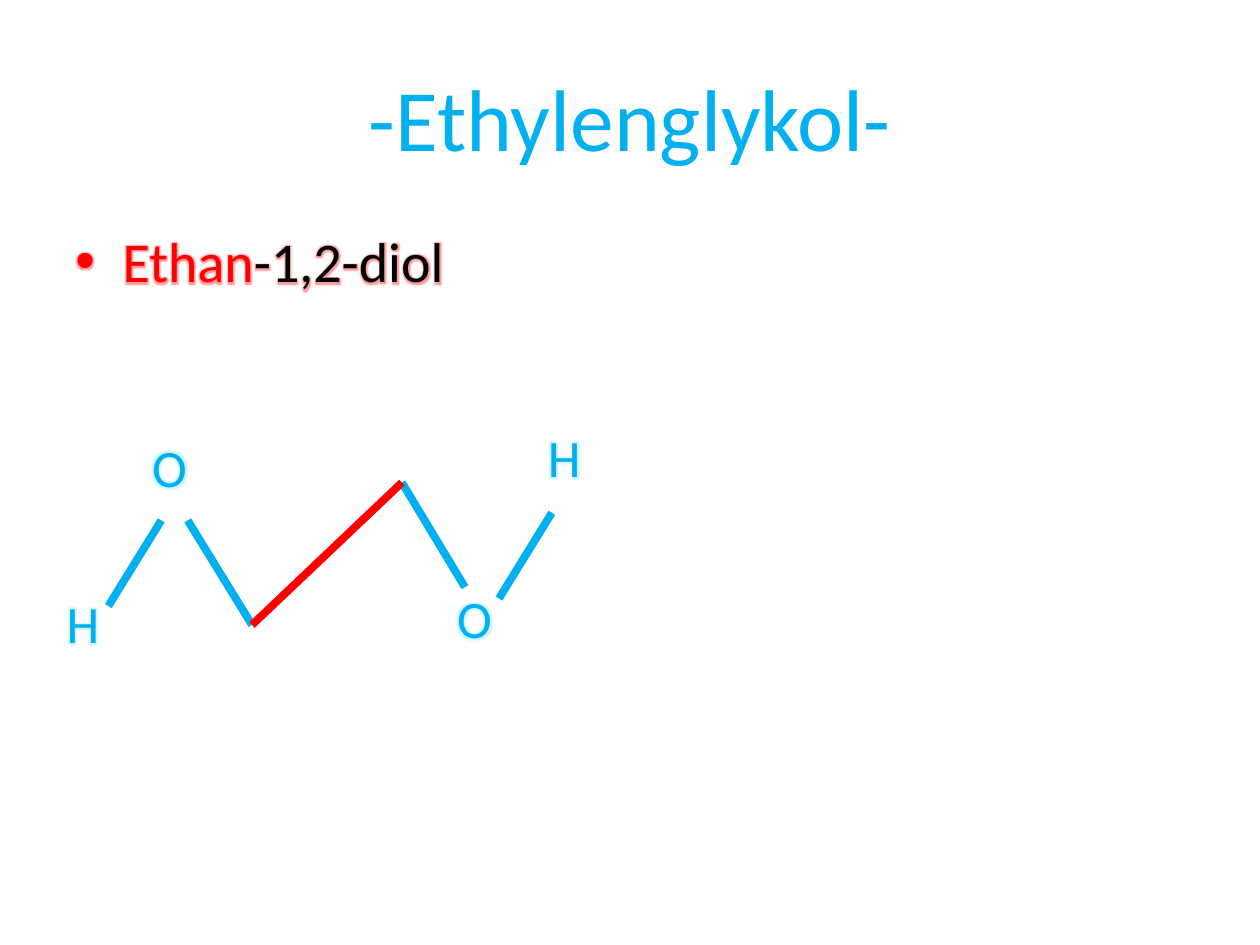
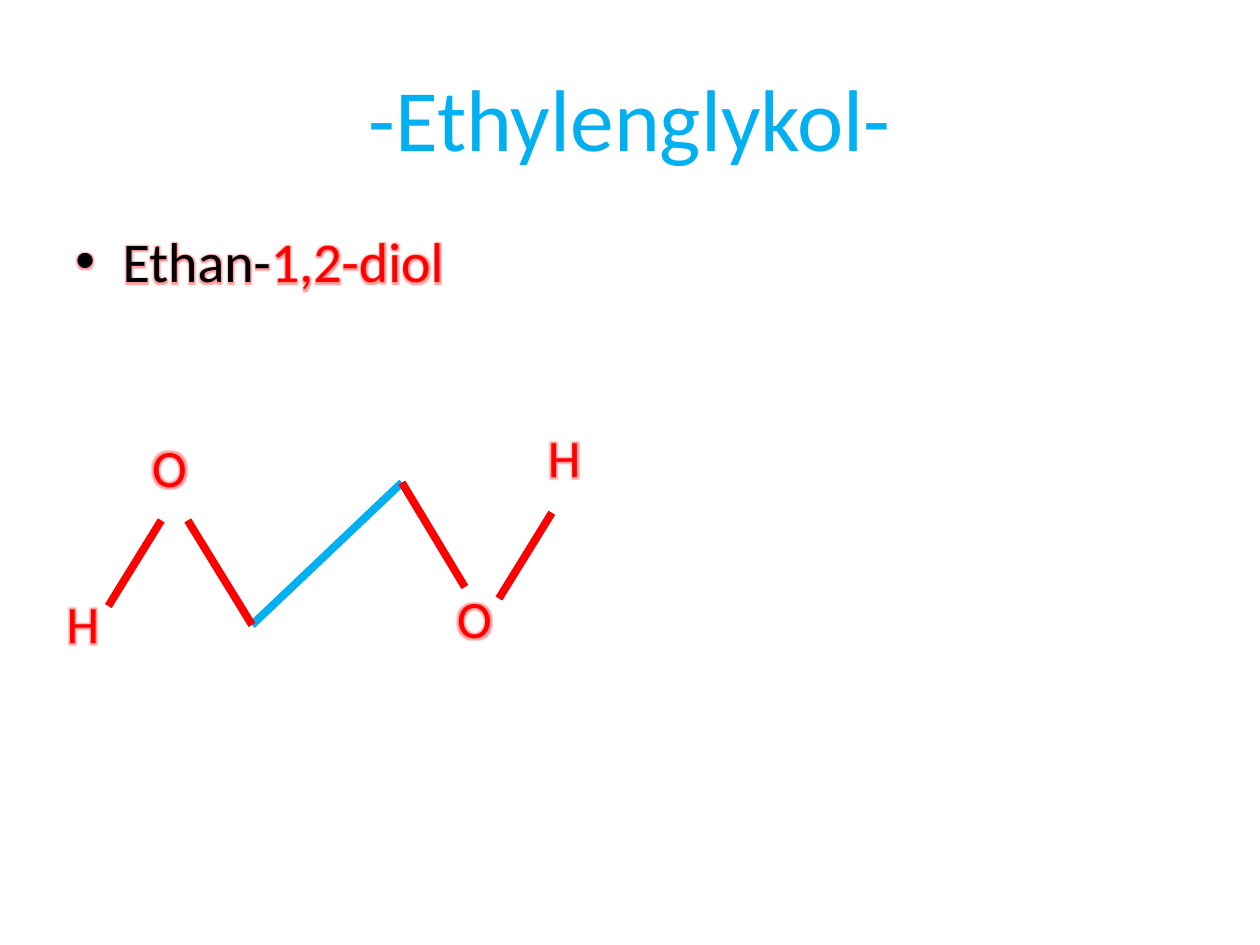
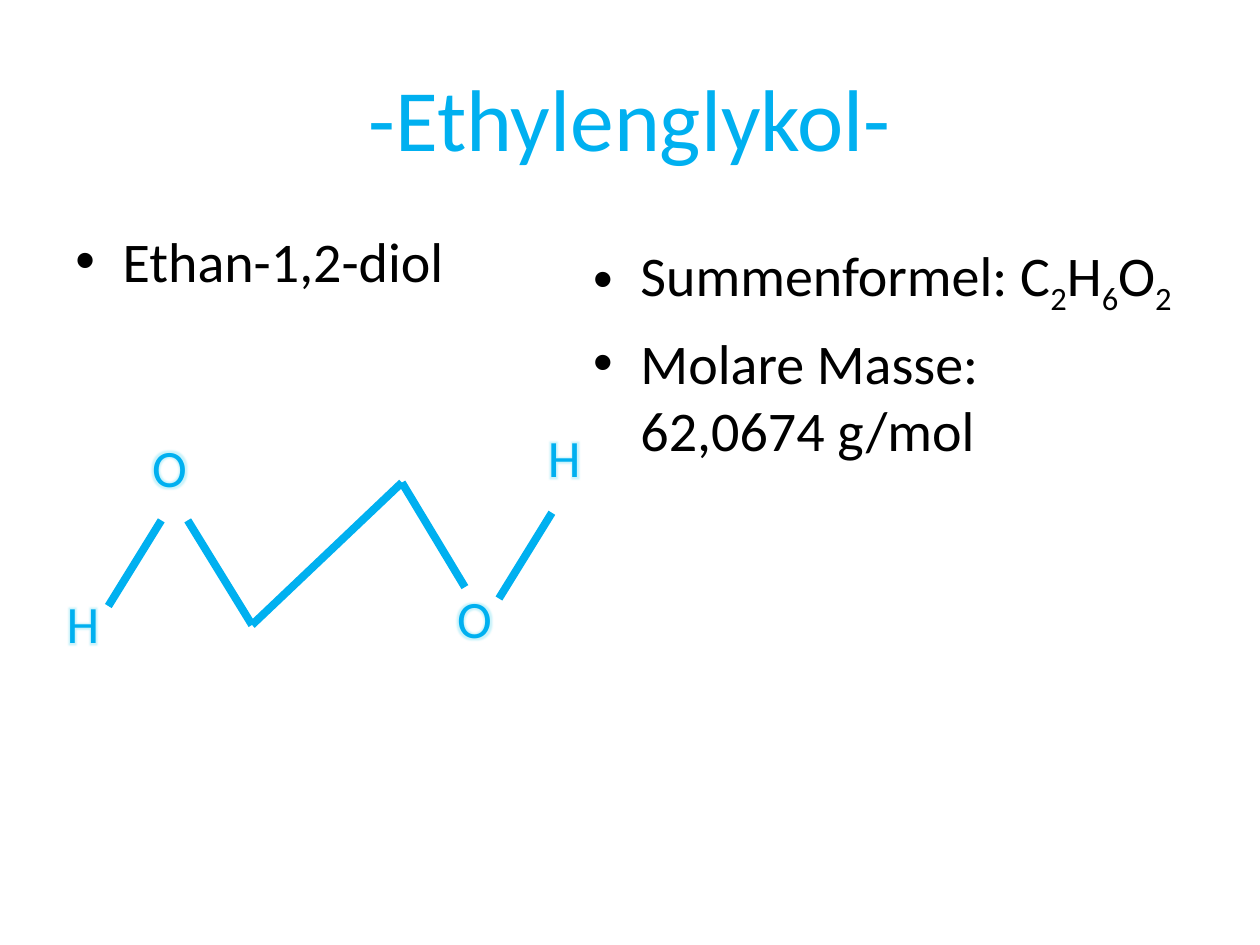
from dataclasses import dataclass

from lxml import etree
from pptx import Presentation
from pptx.dml.color import RGBColor
from pptx.enum.shapes import MSO_CONNECTOR
from pptx.enum.text import MSO_ANCHOR, PP_ALIGN
from pptx.oxml.ns import qn
from pptx.util import Inches, Pt

STRAIGHT = MSO_CONNECTOR.STRAIGHT
MIDDLE = MSO_ANCHOR.MIDDLE
CENTER = PP_ALIGN.CENTER


@dataclass(frozen=True)
class Theme:
    font: str = "Calibri"
    blue: str = "00B0F0"
    red: str = "FF0000"
    black: str = "000000"
    blue_glow: str = "7FE3F5"
    red_glow: str = "FF0000"
    title_size: float = 50
    body_size: float = 32
    atom_size: float = 30
    bond_width: float = 4.5
    glow_radius: float = 5
    glow_alpha: int = 40  # percent


theme = Theme()

# Grid: 100 columns by 75 rows of square cells
COLUMNS, ROWS = 100, 75
CELL = Inches(0.1)

TITLE_BOX = (5, 3, 90, 12.5)
NAME_BOX = (5, 17.5, 90, 49.5)
FACTS_BOX = (46.1, 18.6, 52, 49.5)
INDENT = 3.75
ATOM_SIZE = (10.5, 11.5)

# Molecule: bond ends and the corners of the atom labels, in cells
LEFT_CARBON, RIGHT_CARBON = (20, 49.6), (31.9, 38.3)
CARBON_BOND = (LEFT_CARBON, RIGHT_CARBON)
HYDROXYL_BONDS = [
    ((36.9, 46.6), RIGHT_CARBON),
    (LEFT_CARBON, (14.9, 41.3)),
    ((12.8, 41.3), (8.6, 48.1)),
    ((43.8, 40.7), (39.6, 47.5)),
]
ATOMS = [("O", 11.1, 34), ("H", 4.3, 46.4), ("O", 35.3, 46), ("H", 42.5, 33.2)]

# Per slide: name runs, name glow, carbon bond colour, hydroxyl colour and glow
SLIDES = [
    ([("Ethan", theme.red), ("-1,2-diol", theme.black)], theme.red_glow,
     theme.red, theme.blue, theme.blue_glow),
    ([("Ethan-", theme.black), ("1,2-diol", theme.red)], theme.red_glow,
     theme.blue, theme.red, theme.red_glow),
    ([("Ethan-1,2-diol", theme.black)], None,
     theme.blue, theme.blue, theme.blue_glow),
]
FORMULA = [("C", 2), ("H", 6), ("O", 2)]


def add_text(shapes, box, paragraphs, size, glow=None, bullet=False):
    """Text box of paragraphs, each a list of (text, colour) runs."""
    frame = shapes.add_textbox(*(round(n * CELL) for n in box)).text_frame
    frame.word_wrap = True
    for number, runs in enumerate(paragraphs):
        paragraph = frame.add_paragraph() if number else frame.paragraphs[0]
        paragraph.font.name = theme.font
        paragraph.font.size = Pt(size)
        for text, colour in runs:
            run = paragraph.add_run()
            run.text = text
            run.font.color.rgb = RGBColor.from_string(colour)
            if glow:
                effects = etree.SubElement(run.font._element, qn("a:effectLst"))
                halo = etree.SubElement(effects, qn("a:glow"), rad=str(Pt(theme.glow_radius)))
                tint = etree.SubElement(halo, qn("a:srgbClr"), val=glow)
                etree.SubElement(tint, qn("a:alpha"), val=str(theme.glow_alpha * 1000))
        if bullet:
            paragraph.space_before = Pt(size * 0.2)
            properties = paragraph._p.get_or_add_pPr()
            properties.set("marL", str(round(INDENT * CELL)))
            properties.set("indent", str(-round(INDENT * CELL)))
            mark = etree.Element(qn("a:buChar"), char="•")
            typeface = etree.Element(qn("a:buFont"), typeface="Arial")
            properties.find(qn("a:defRPr")).addprevious(typeface)
            typeface.addnext(mark)
    return frame


deck = Presentation()
deck.slide_width, deck.slide_height = COLUMNS * CELL, ROWS * CELL

for name, name_glow, carbon_colour, hydroxyl_colour, atom_glow in SLIDES:
    slide = deck.slides.add_slide(deck.slide_layouts[6])

    # Title and systematic name
    title = add_text(slide.shapes, TITLE_BOX, [[("-Ethylenglykol-", theme.blue)]],
                     theme.title_size)
    title.vertical_anchor = MIDDLE
    title.paragraphs[0].alignment = CENTER
    add_text(slide.shapes, NAME_BOX, [name], theme.body_size, name_glow, bullet=True)

    # Bonds, the highlighted ones on top
    molecule = slide.shapes.add_group_shape().shapes
    bonds = [(CARBON_BOND, carbon_colour)]
    bonds += [(ends, hydroxyl_colour) for ends in HYDROXYL_BONDS]
    for (start, end), colour in sorted(bonds, key=lambda bond: bond[1] == theme.red):
        bond = molecule.add_connector(STRAIGHT, *(round(n * CELL) for n in start + end))
        bond.line.color.rgb = RGBColor.from_string(colour)
        bond.line.width = Pt(theme.bond_width)
        etree.SubElement(bond._element.spPr, qn("a:effectLst"))

    # Atom labels
    for symbol, left, top in ATOMS:
        label = add_text(molecule, (left, top, *ATOM_SIZE), [[(symbol, hydroxyl_colour)]],
                         theme.atom_size, atom_glow)
        label.paragraphs[0].space_after = Pt(10)

# Formula and molar mass on the last slide
formula_runs = ["Summenformel: "] + [str(part) for pair in FORMULA for part in pair]
facts = add_text(slide.shapes, FACTS_BOX,
                 [[(text, theme.black) for text in formula_runs],
                  [("Molare Masse:", theme.black)]],
                 theme.body_size, bullet=True)
for count in facts.paragraphs[0].runs[2::2]:
    count.font._element.set("baseline", "-25000")
mass = facts.paragraphs[1]
mass.add_line_break()
value = mass.add_run()
value.text = "62,0674 g/mol"
value.font.color.rgb = RGBColor.from_string(theme.black)

deck.save("out.pptx")
